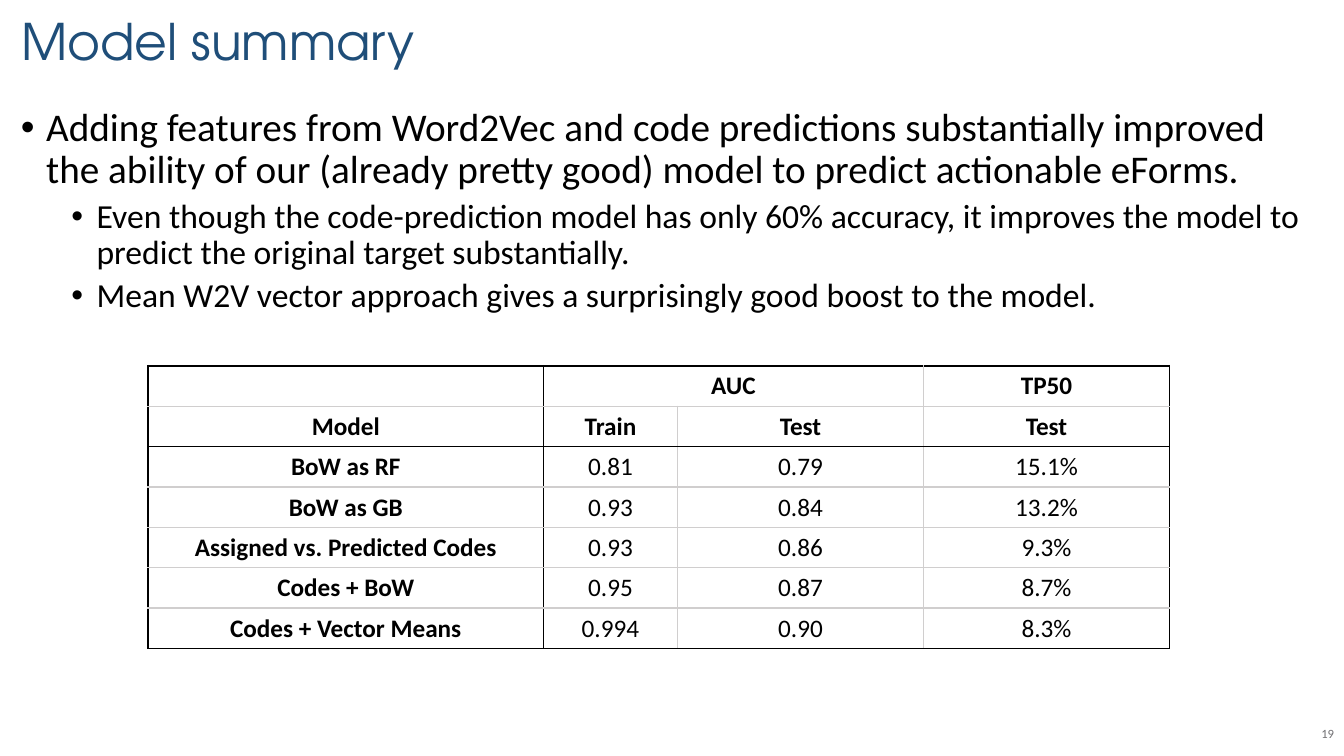
from lxml import etree
from pptx import Presentation
from pptx.dml.color import RGBColor
from pptx.enum.text import MSO_ANCHOR, MSO_AUTO_SIZE, PP_ALIGN
from pptx.oxml.ns import qn
from pptx.util import Inches, Pt

LEFT, CENTER, RIGHT = PP_ALIGN.LEFT, PP_ALIGN.CENTER, PP_ALIGN.RIGHT
TOP, MIDDLE = MSO_ANCHOR.TOP, MSO_ANCHOR.MIDDLE
HUES = {"title": "1F4E79", "text": "000000", "grid": "D0CECE", "page": "717073"}


def write(frame, text, size=18, hue="text", font="Calibri", bold=False, align=LEFT,
          anchor=MIDDLE, space=1.0, before=0, indent=None, level=0, more=False):
    """Put one paragraph in a frame; an indent makes it a bullet."""
    if not more:
        frame.word_wrap = True
        frame.vertical_anchor = anchor
    para = frame.add_paragraph() if more else frame.paragraphs[0]
    para.level = level
    para.alignment = align
    para.line_spacing = space
    para.space_before = Pt(before)
    if indent is not None:
        props = para._p.get_or_add_pPr()
        props.set("marL", str(Inches(indent)))
        props.set("indent", str(Inches(-0.25)))
        etree.SubElement(props, qn("a:buFont")).set("typeface", "Arial")
        etree.SubElement(props, qn("a:buChar")).set("char", "•")
    run = para.add_run()
    run.text = text
    run.font.name = font
    run.font.size = Pt(size)
    run.font.bold = bold
    run.font.color.rgb = RGBColor.from_string(HUES[hue])


def border(cell, edges):
    """Draw the left, right, top and bottom edges of a cell."""
    props = cell._tc.get_or_add_tcPr()
    for spot, (side, (hue, width)) in enumerate(zip("LRTB", edges)):
        line = etree.Element(qn(f"a:ln{side}"), w=str(Pt(width)))
        fill = etree.SubElement(line, qn("a:solidFill"))
        etree.SubElement(fill, qn("a:srgbClr")).set("val", HUES[hue])
        props.insert(spot, line)


deck = Presentation()
deck.slide_width, deck.slide_height = Inches(13.33), Inches(7.5)
slide = deck.slides.add_slide(deck.slide_layouts[5])

# Title
title = slide.shapes.title
title.left, title.top = Inches(0.11), Inches(0.06)
title.width, title.height = Inches(13.05), Inches(0.75)
title.text_frame.auto_size = MSO_AUTO_SIZE.NONE
write(title.text_frame, "Model summary", size=36, hue="title",
      font="TeX Gyre Adventor", space=0.9)

# Bullets
body = slide.shapes.add_textbox(Inches(0.11), Inches(1.02), Inches(13.05), Inches(5.67))
write(body.text_frame, "Adding features from Word2Vec and code predictions substantially "
      "improved the ability of our (already pretty good) model to predict actionable eForms.",
      size=28, anchor=TOP, space=0.9, indent=0.25)
for text in (
    "Even though the code-prediction model has only 60% accuracy, it improves the model "
    "to predict the original target substantially.",
    "Mean W2V vector approach gives a surprisingly good boost to the model.",
):
    write(body.text_frame, text, size=24, space=0.9, before=5, indent=0.75,
          level=1, more=True)

# Table of scores
ROWS = [
    ("", "AUC", "", "TP50"),
    ("Model", "Train", "Test", "Test"),
    ("BoW as RF", "0.81", "0.79", "15.1%"),
    ("BoW as GB", "0.93", "0.84", "13.2%"),
    ("Assigned vs. Predicted Codes", "0.93", "0.86", "9.3%"),
    ("Codes + BoW", "0.95", "0.87", "8.7%"),
    ("Codes + Vector Means", "0.994", "0.90", "8.3%"),
]
WIDTHS = [3.92, 1.33, 2.44, 2.44]
FRAME, RULE, GRID = ("text", 1.5), ("text", 1), ("grid", 1)
DOWN = [FRAME, RULE, GRID, GRID, FRAME]
ACROSS = [FRAME, GRID, RULE, GRID, GRID, GRID, GRID, FRAME]

table = slide.shapes.add_table(len(ROWS), len(WIDTHS), Inches(1.47), Inches(3.63),
                               Inches(10.13), Inches(2.8)).table
table.first_row = table.horz_banding = False
for col, width in zip(table.columns, WIDTHS):
    col.width = Inches(width)
table.cell(0, 1).merge(table.cell(0, 2))
for r, row in enumerate(ROWS):
    for c, text in enumerate(row):
        cell = table.cell(r, c)
        cell.fill.background()
        border(cell, (DOWN[c], DOWN[c + 1], ACROSS[r], ACROSS[r + 1]))
        cell.vertical_anchor = MIDDLE
        if text:
            write(cell.text_frame, text, bold=r < 2 or c == 0, align=CENTER)

# Page number
page = slide.shapes.add_textbox(Inches(12.44), Inches(7.08), Inches(0.89), Inches(0.4))
write(page.text_frame, "19", size=9, hue="page", align=RIGHT)

deck.save("out.pptx")
